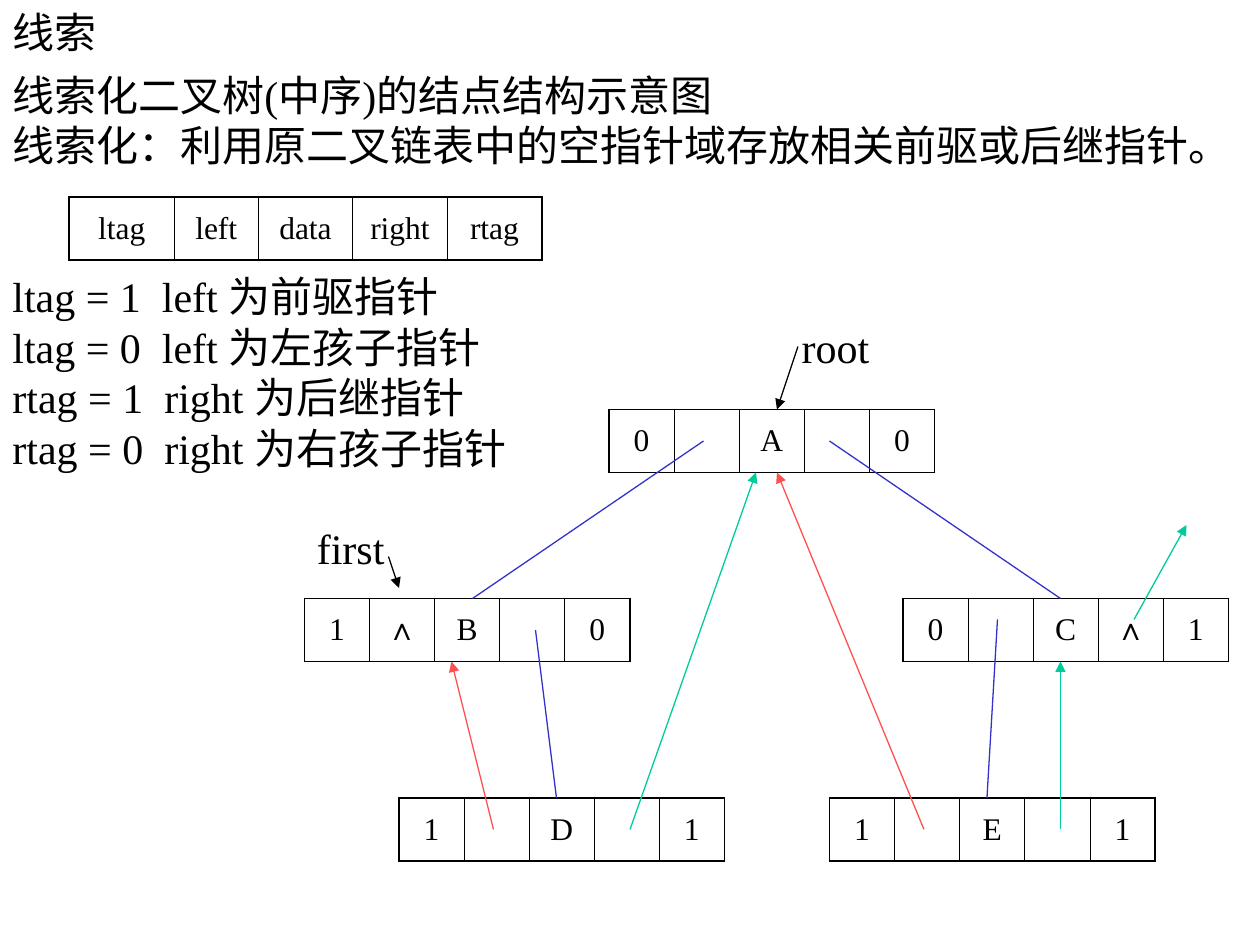
from lxml import etree
from pptx import Presentation
from pptx import util as u
from pptx.dml.color import RGBColor
from pptx.enum import shapes, text
from pptx.oxml.ns import qn

FONT = "Times New Roman"
LINE = 28.8
BLACK, BLUE, RED, GREEN = "000000", "3333CC", "FF5050", "00CC99"
ROW_H = 36
NODE_COLS = [37.2] * 5


def rgb(value):
    return RGBColor.from_string(value)


def style(p, size):
    p.font.name = FONT
    p.font.size = u.Pt(size)
    p.font.bold = False
    p.font.color.rgb = rgb(BLACK)


def add_text(s, x, y, w, h, lines, anchor=text.MSO_ANCHOR.TOP):
    sp = s.shapes.add_textbox(u.Pt(x), u.Pt(y), u.Pt(w), u.Pt(h))
    tf = sp.text_frame
    tf.word_wrap = True
    tf.vertical_anchor = anchor
    for i, line in enumerate(lines):
        p = tf.paragraphs[0] if i == 0 else tf.add_paragraph()
        p.text = line
        p.line_spacing = u.Pt(LINE)
        style(p, 24)


def set_borders(cell, widths):
    pr = cell._tc.get_or_add_tcPr()
    for i, (side, width) in enumerate(widths.items()):
        ln = etree.Element(qn(f"a:ln{side}"), w=str(u.Pt(width)))
        fill = etree.SubElement(ln, qn("a:solidFill"))
        etree.SubElement(fill, qn("a:srgbClr"), val=BLACK)
        pr.insert(i, ln)


def add_record(s, x, y, cols, values):
    frame = s.shapes.add_table(1, len(cols), u.Pt(x), u.Pt(y), u.Pt(sum(cols)), u.Pt(ROW_H))
    table = frame.table
    table.first_row = table.horz_banding = False
    last = len(cols) - 1
    for i, (width, value) in enumerate(zip(cols, values)):
        table.columns[i].width = u.Pt(width)
        cell = table.cell(0, i)
        cell.fill.background()
        cell.vertical_anchor = text.MSO_ANCHOR.MIDDLE
        p = cell.text_frame.paragraphs[0]
        p.text = value
        p.alignment = text.PP_ALIGN.CENTER
        style(p, 18)
        set_borders(cell, {"L": 1.08 if i == 0 else 0.45,
                           "R": 1.08 if i == last else 0.45,
                           "T": 1.08, "B": 1.08})


def add_line(s, x1, y1, x2, y2, color, arrow=True):
    c = s.shapes.add_connector(shapes.MSO_CONNECTOR.STRAIGHT,
                               u.Pt(x1), u.Pt(y1), u.Pt(x2), u.Pt(y2))
    c.line.color.rgb = rgb(color)
    c.line.width = u.Pt(0.75)
    if arrow:
        etree.SubElement(c.line._get_or_add_ln(), qn("a:tailEnd"), type="triangle")
    etree.SubElement(c._element.spPr, qn("a:effectLst"))


def main():
    prs = Presentation()
    prs.slide_width, prs.slide_height = u.Pt(720), u.Pt(540)
    s = prs.slides.add_slide(prs.slide_layouts[6])

    add_text(s, 0, 0, 612, 36, ["线索"], text.MSO_ANCHOR.MIDDLE)
    add_text(s, 0, 36, 720, 65, ["线索化二叉树(中序)的结点结构示意图",
                                 "线索化：利用原二叉链表中的空指针域存放相关前驱或后继指针。"])
    add_text(s, 0, 36 + 4 * LINE, 345, 123, ["ltag = 1  left 为前驱指针",
                                             "ltag = 0  left 为左孩子指针",
                                             "rtag = 1  right 为后继指针",
                                             "rtag = 0  right 为右孩子指针"])
    add_text(s, 451, 36 + 5 * LINE, 80, 36, ["root"])
    add_text(s, 174, 36 + 9 * LINE, 80, 36, ["first"])

    add_record(s, 39.6, 112.5, [60, 48, 54, 54, 54], ["ltag", "left", "data", "right", "rtag"])
    for x, y, values in [
        (348, 234, ["0", "", "A", "", "0"]),
        (516, 342, ["0", "", "C", "∧", "1"]),
        (174, 342, ["1", "∧", "B", "", "0"]),
        (474, 456, ["1", "", "E", "", "1"]),
        (228, 456, ["1", "", "D", "", "1"]),
    ]:
        add_record(s, x, y, NODE_COLS, values)

    for child in [(402, 252, 270, 342), (474, 252, 606, 342),
                  (306, 360, 318, 456), (570, 354, 564, 456)]:
        add_line(s, *child, BLUE, arrow=False)
    for predecessor in [(282, 474, 258, 378), (528, 474, 444, 270)]:
        add_line(s, *predecessor, RED)
    for successor in [(360, 474, 432, 270), (606, 474, 606, 378), (648, 354, 678, 300)]:
        add_line(s, *successor, GREEN)
    for pointer in [(456, 198, 444, 234), (222, 318, 228, 336)]:
        add_line(s, *pointer, BLACK)

    prs.save("out.pptx")


if __name__ == "__main__":
    main()
